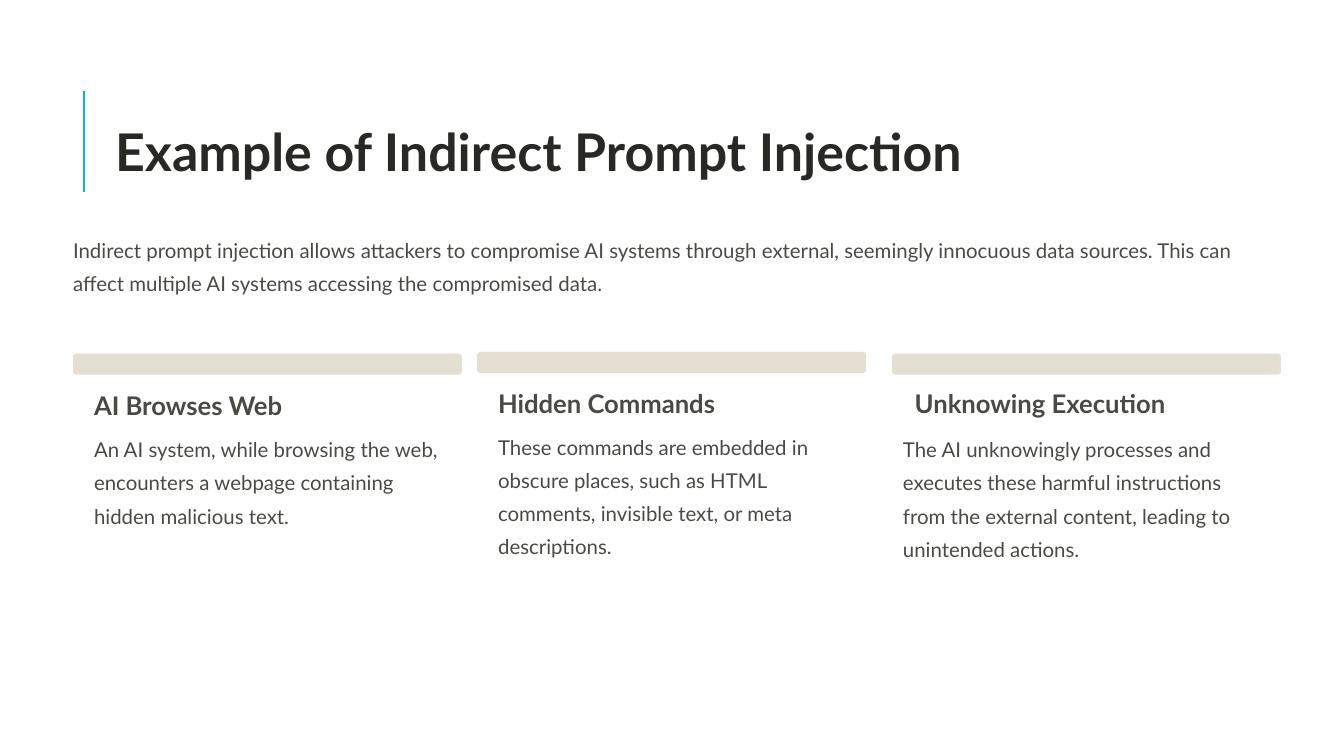
from pptx import Presentation
from pptx.dml.color import RGBColor as Rgb
from pptx.enum.shapes import MSO_CONNECTOR as Conn, MSO_SHAPE as Kind
from pptx.enum.text import MSO_ANCHOR as Anchor, MSO_AUTO_SIZE as Auto, PP_ALIGN as Align
from pptx.oxml.ns import qn
from pptx.util import Inches, Pt
from lxml.etree import SubElement as Sub

INK, GRAY, SAND, BLUE = "282824", "4A4A45", "E5DFD2", "1CADE4"
INTRO = ("Indirect prompt injection allows attackers to compromise AI systems through "
         "external, seemingly innocuous data sources. This can affect multiple AI systems "
         "accessing the compromised data.")
CARDS = [
    ((0.87, 4.21, 4.63, 2.1), (0.25, 0.42), (0.25, 0.89), "AI Browses Web",
     "An AI system, while browsing the web, encounters a webpage containing "
     "hidden malicious text."),
    ((5.68, 4.19, 4.63, 2.5), (0.25, 0.41), (0.25, 0.88), "Hidden Commands",
     "These commands are embedded in obscure places, such as HTML comments, "
     "invisible text, or meta descriptions."),
    ((10.62, 4.21, 4.63, 2.5), (0.27, 0.39), (0.13, 0.89), "Unknowing Execution",
     "The AI unknowingly processes and executes these harmful instructions "
     "from the external content, leading to unintended actions."),
]


def paint(color, code):
    color.rgb = Rgb.from_string(code)


def write(shape, text, size, lead, code=GRAY, bold=False, wrap=True):
    frame = shape.text_frame
    frame.text = text
    frame.word_wrap = wrap
    frame.auto_size = Auto.NONE
    frame.vertical_anchor = Anchor.TOP
    frame.margin_left = frame.margin_right = 0
    frame.margin_top = frame.margin_bottom = 0
    para = frame.paragraphs[0]
    para.alignment = Align.LEFT
    para.line_spacing = Pt(lead)
    para.space_before = Pt(0)
    font = para.runs[0].font
    font.name, font.size, font.bold = "Lato", Pt(size), bold
    paint(font.color, code)


def note(slide, box, text, size=17.5, lead=28.5, **look):
    write(slide.shapes.add_textbox(*map(Inches, box)), text, size, lead, **look)


def header(slide, box, text):
    x, y, w, h = box
    rule = slide.shapes.add_connector(
        Conn.STRAIGHT, Inches(x), Inches(y + h), Inches(x), Inches(y))
    paint(rule.line.color, BLUE)
    rule.line.width = Pt(1.5)
    Sub(rule.element.spPr, qn("a:effectLst"))
    title = slide.shapes.title
    title.left, title.top = Inches(x + 0.37), Inches(y + 0.32)
    title.width, title.height = Inches(w - 0.37), Inches(0.78)
    write(title, text, 44.5, 55.5, INK, bold=True, wrap=False)


def card(slide, box, head, body, name, text):
    x, y, w, h = box
    bar = slide.shapes.add_shape(
        Kind.ROUNDED_RECTANGLE, Inches(x), Inches(y), Inches(w), Inches(0.25))
    bar.adjustments[0] = 0.15
    bar.shadow.inherit = False
    bar.fill.solid()
    paint(bar.fill.fore_color, SAND)
    bar.line.fill.background()
    note(slide, (x + head[0], y + head[1], 3.1, 0.39), name, 22, 27.5,
         bold=True, wrap=False)
    note(slide, (x + body[0], y + body[1], w - 0.5, h - body[1]), text)


def main():
    deck = Presentation()
    deck.slide_width, deck.slide_height = Inches(16), Inches(9)
    slide = deck.slides.add_slide(deck.slide_layouts[5])
    header(slide, (1, 1.08, 10.55, 1.2), "Example of Indirect Prompt Injection")
    note(slide, (0.87, 2.73, 14.26, 0.79), INTRO)
    for item in CARDS:
        card(slide, *item)
    deck.save("out.pptx")


if __name__ == "__main__":
    main()
